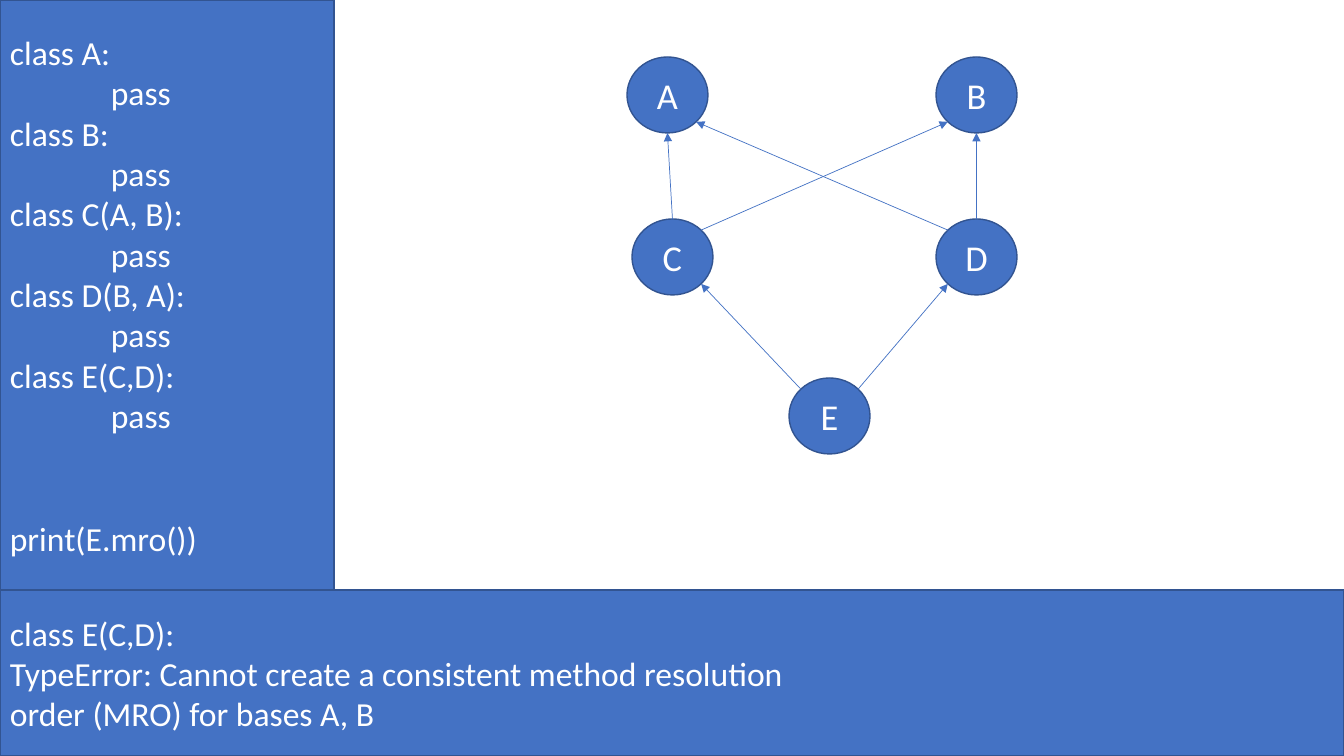
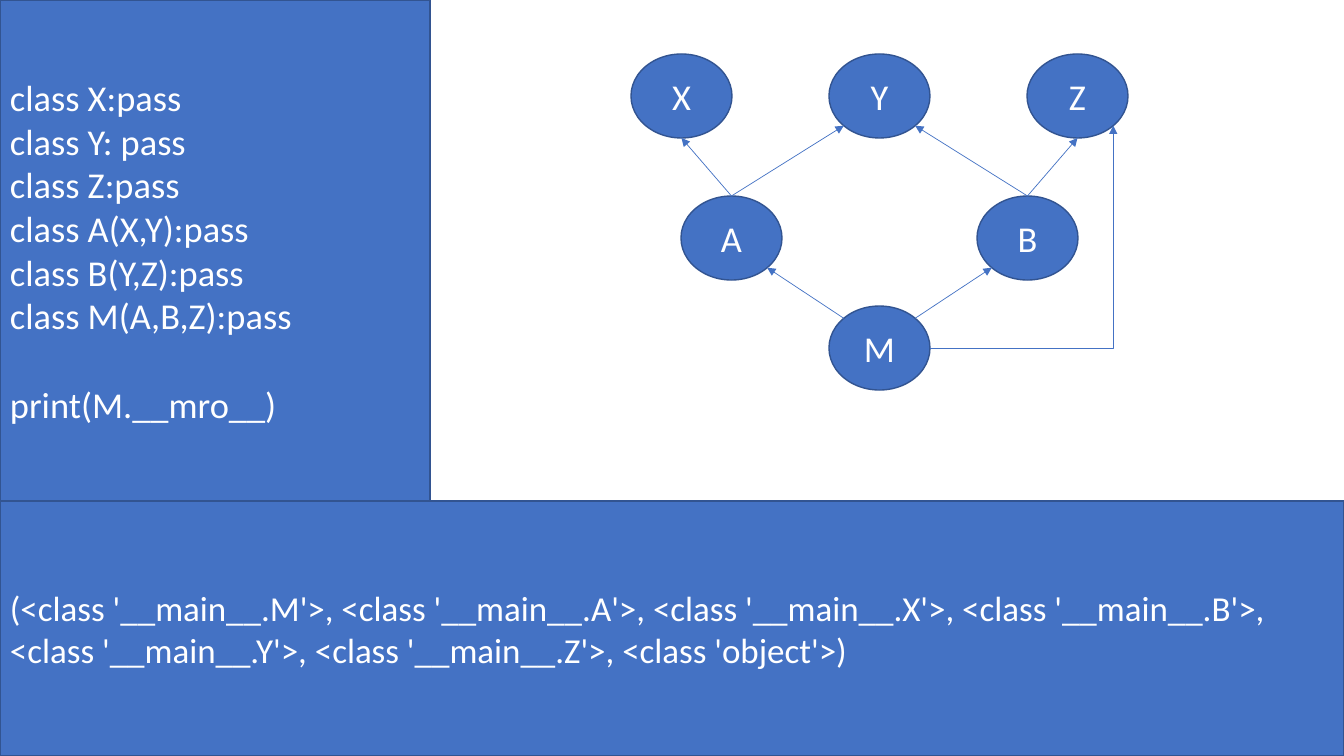
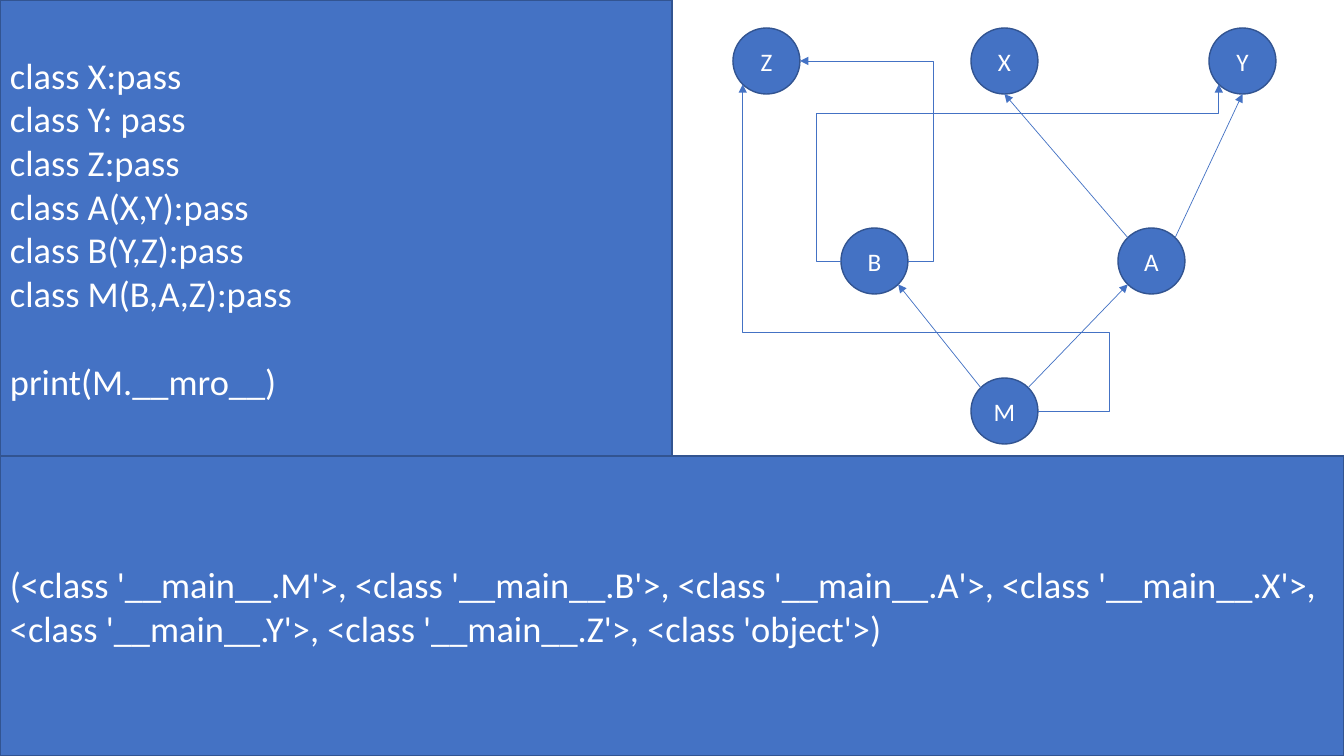
from dataclasses import dataclass
from enum import IntEnum
from math import sqrt

from lxml.etree import SubElement
from pptx import Presentation
from pptx.dml.color import RGBColor
from pptx.enum.shapes import MSO_CONNECTOR as CXN, MSO_SHAPE as SHAPE
from pptx.enum.text import MSO_ANCHOR as ANCHOR, PP_ALIGN as ALIGN
from pptx.oxml.ns import qn
from pptx.util import Emu, Pt

SLIDE_W, SLIDE_H = 1344, 756
EMU_PER_PX = 12192000 / SLIDE_W
BLUE = RGBColor(0x44, 0x72, 0xC4)
DARK_BLUE = RGBColor(0x32, 0x54, 0x91)
WHITE = RGBColor(0xFF, 0xFF, 0xFF)
FONT = "Calibri"
LINE_HEIGHT = 1.22
TAB = 101


class Site(IntEnum):
    TOP = 0
    TOP_LEFT = 1
    LEFT = 2
    BOTTOM_LEFT = 3
    BOTTOM = 4
    BOTTOM_RIGHT = 5
    RIGHT = 6
    TOP_RIGHT = 7


DIRECTION = {
    Site.TOP: (0, -1), Site.TOP_LEFT: (-1, -1),
    Site.LEFT: (-1, 0), Site.BOTTOM_LEFT: (-1, 1),
    Site.BOTTOM: (0, 1), Site.BOTTOM_RIGHT: (1, 1),
    Site.RIGHT: (1, 0), Site.TOP_RIGHT: (1, -1),
}


@dataclass(frozen=True)
class Line:
    text: str
    indent: int = 0
    lines_above: int = 0


@dataclass(frozen=True)
class Node:
    name: str
    x: int
    y: int


@dataclass(frozen=True)
class Arrow:
    child: str
    start: Site
    parent: str
    end: Site
    preset: str = "line"
    bend: tuple[int, ...] = ()


@dataclass(frozen=True)
class MroSlide:
    code_w: int
    code_h: int
    code_size: int
    code: list[Line]
    output_size: int
    output: list[Line]
    node_w: int
    node_h: int
    node_size: int
    nodes: list[Node]
    arrows: list[Arrow]


def px(n: float) -> Emu:
    return Emu(round(n * EMU_PER_PX))


def add_block(slide, kind, x: int, y: int, w: int, h: int,
              lines: list[Line], size: int, align):
    sp = slide.shapes.add_shape(kind, px(x), px(y), px(w), px(h))
    sp.shadow.inherit = False
    sp.fill.solid()
    sp.fill.fore_color.rgb = BLUE
    sp.line.color.rgb = DARK_BLUE
    sp.line.width = Pt(1)
    tf = sp.text_frame
    for name, value in {"word_wrap": True, "vertical_anchor": ANCHOR.MIDDLE}.items():
        setattr(tf, name, value)
    for i, line in enumerate(lines):
        p = tf.add_paragraph() if i else tf.paragraphs[0]
        p.alignment = align
        if line.lines_above:
            p.space_before = Pt(round(line.lines_above * size * LINE_HEIGHT))
        if line.indent:
            p._p.get_or_add_pPr().set("marL", str(px(line.indent * TAB)))
        r = p.add_run()
        r.text = line.text
        for name, value in {"name": FONT, "size": Pt(size)}.items():
            setattr(r.font, name, value)
        r.font.color.rgb = WHITE
    return sp


def site_point(sp, site: Site) -> tuple[int, int]:
    dx, dy = DIRECTION[site]
    reach = 1 / (2 * sqrt(abs(dx) + abs(dy)))
    return (round(sp.left + sp.width * (0.5 + dx * reach)),
            round(sp.top + sp.height * (0.5 + dy * reach)))


def add_arrow(slide, arrow: Arrow, ellipses: dict) -> None:
    child, parent = ellipses[arrow.child], ellipses[arrow.parent]
    start, end = site_point(child, arrow.start), site_point(parent, arrow.end)
    kind = CXN.STRAIGHT if arrow.preset == "line" else CXN.ELBOW
    c = slide.shapes.add_connector(kind, *start, *end)
    c.line.color.rgb = BLUE
    c.line.width = Pt(0.5)

    spPr = c._element.spPr
    SubElement(spPr.find(qn("a:ln")), qn("a:tailEnd"), type="triangle")
    SubElement(spPr, qn("a:effectLst"))
    geom = spPr.find(qn("a:prstGeom"))
    geom.set("prst", arrow.preset)
    for i, bend in enumerate(arrow.bend):
        ratio = (px(bend) - start[i]) / (end[i] - start[i])
        SubElement(geom.find(qn("a:avLst")), qn("a:gd"),
                   name=f"adj{i + 1}", fmla=f"val {round(ratio * 100000)}")

    links = c._element.nvCxnSpPr.cNvCxnSpPr
    for tag, sp, site in (("a:stCxn", child, arrow.start), ("a:endCxn", parent, arrow.end)):
        SubElement(links, qn(tag), id=str(sp.shape_id), idx=str(int(site)))


def add_mro_slide(prs, mro: MroSlide) -> None:
    slide = prs.slides.add_slide(prs.slide_layouts[6])
    add_block(slide, SHAPE.RECTANGLE, 0, 0, mro.code_w, mro.code_h,
              mro.code, mro.code_size, ALIGN.LEFT)
    add_block(slide, SHAPE.RECTANGLE, 0, mro.code_h, SLIDE_W, SLIDE_H - mro.code_h,
              mro.output, mro.output_size, ALIGN.LEFT)
    ellipses = {
        n.name: add_block(slide, SHAPE.OVAL, n.x, n.y, mro.node_w, mro.node_h,
                          [Line(n.name)], mro.node_size, ALIGN.CENTER)
        for n in mro.nodes
    }
    for arrow in mro.arrows:
        add_arrow(slide, arrow, ellipses)


def class_lines(*heads: str) -> list[Line]:
    return [line for head in heads for line in (Line(f"class {head}:"), Line("pass", indent=1))]


def one_line_classes(m_bases: str) -> list[Line]:
    heads = ("X:", "Y: ", "Z:", "A(X,Y):", "B(Y,Z):", f"M({m_bases}):")
    return [*(Line(f"class {head}pass") for head in heads),
            Line("print(M.__mro__)", lines_above=1)]


def mro_output(order: str) -> list[Line]:
    names = [f"<class '__main__.{name}'>" for name in order] + ["<class 'object'>"]
    return [Line(f"({', '.join(names)})")]


SLIDES = [
    MroSlide(
        code_w=334, code_h=590, code_size=24,
        code=[*class_lines("A", "B", "C(A, B)", "D(B, A)", "E(C,D)"),
              Line("print(E.mro())", lines_above=2)],
        output_size=24,
        output=[Line("class E(C,D):"),
                Line("TypeError: Cannot create a consistent method resolution"),
                Line("order (MRO) for bases A, B")],
        node_w=81, node_h=76, node_size=26,
        nodes=[Node("A", 627, 57), Node("B", 936, 57), Node("C", 632, 219),
               Node("D", 936, 219), Node("E", 789, 378)],
        arrows=[
            Arrow("C", Site.TOP, "A", Site.BOTTOM),
            Arrow("D", Site.TOP, "B", Site.BOTTOM),
            Arrow("C", Site.TOP_RIGHT, "B", Site.BOTTOM_LEFT),
            Arrow("D", Site.TOP_LEFT, "A", Site.BOTTOM_RIGHT),
            Arrow("E", Site.TOP_LEFT, "C", Site.BOTTOM_RIGHT),
            Arrow("E", Site.TOP_RIGHT, "D", Site.BOTTOM_LEFT),
        ],
    ),
    MroSlide(
        code_w=430, code_h=501, code_size=26, code=one_line_classes("A,B,Z"),
        output_size=25, output=mro_output("MAXBYZ"),
        node_w=101, node_h=84, node_size=26,
        nodes=[Node("X", 631, 54), Node("Y", 829, 54), Node("Z", 1027, 54),
               Node("A", 681, 196), Node("B", 977, 196), Node("M", 829, 306)],
        arrows=[
            Arrow("A", Site.TOP, "X", Site.BOTTOM),
            Arrow("A", Site.TOP, "Y", Site.BOTTOM_LEFT),
            Arrow("B", Site.TOP, "Y", Site.BOTTOM_RIGHT),
            Arrow("B", Site.TOP, "Z", Site.BOTTOM),
            Arrow("M", Site.TOP_LEFT, "A", Site.BOTTOM_RIGHT),
            Arrow("M", Site.TOP_RIGHT, "B", Site.BOTTOM_LEFT),
            Arrow("M", Site.RIGHT, "Z", Site.BOTTOM_RIGHT, "bentConnector2"),
        ],
    ),
    MroSlide(
        code_w=672, code_h=456, code_size=26, code=one_line_classes("B,A,Z"),
        output_size=26, output=mro_output("MBAXYZ"),
        node_w=67, node_h=66, node_size=18,
        nodes=[Node("Z", 733, 28), Node("X", 971, 28), Node("Y", 1209, 28),
               Node("B", 841, 228), Node("A", 1118, 228), Node("M", 971, 378)],
        arrows=[
            Arrow("M", Site.TOP_LEFT, "B", Site.BOTTOM_RIGHT),
            Arrow("M", Site.TOP_RIGHT, "A", Site.BOTTOM_LEFT),
            Arrow("A", Site.TOP_LEFT, "X", Site.BOTTOM),
            Arrow("A", Site.TOP_RIGHT, "Y", Site.BOTTOM),
            Arrow("B", Site.RIGHT, "Z", Site.RIGHT, "bentConnector3", (933,)),
            Arrow("B", Site.LEFT, "Y", Site.BOTTOM_LEFT, "bentConnector4", (816, 113)),
            Arrow("M", Site.RIGHT, "Z", Site.BOTTOM_LEFT, "bentConnector4", (1109, 332)),
        ],
    ),
]


def main() -> None:
    prs = Presentation()
    prs.slide_width, prs.slide_height = px(SLIDE_W), px(SLIDE_H)
    for mro in SLIDES:
        add_mro_slide(prs, mro)
    prs.save("out.pptx")


if __name__ == "__main__":
    main()
